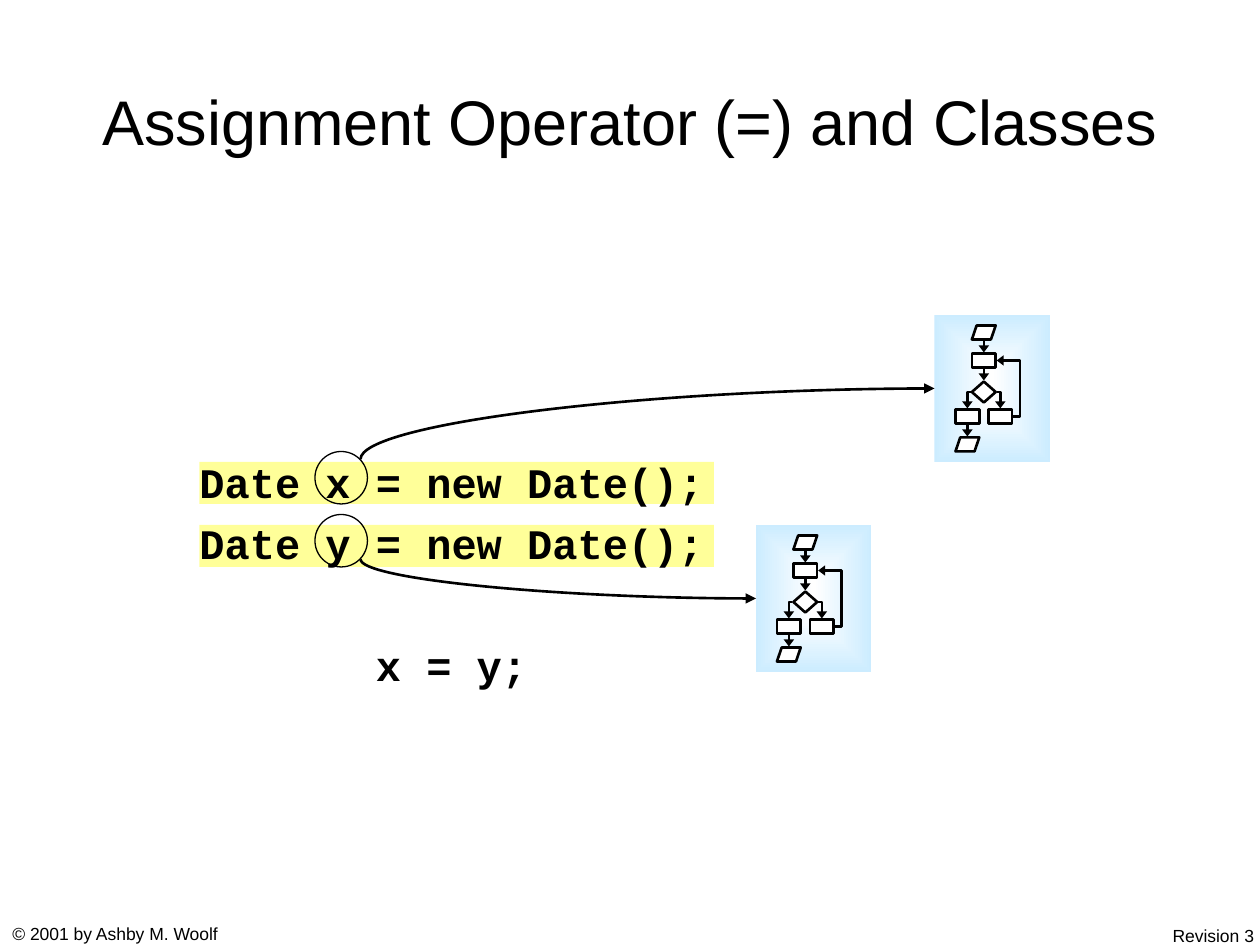
import pptx
import pptx.dml.color
import pptx.enum.shapes
import pptx.enum.text
import pptx.oxml.ns
import pptx.util
from lxml import etree

Pt = pptx.util.Pt
qn = pptx.oxml.ns.qn
Shape = pptx.enum.shapes.MSO_SHAPE
Connector = pptx.enum.shapes.MSO_CONNECTOR
Align = pptx.enum.text.PP_ALIGN
Anchor = pptx.enum.text.MSO_ANCHOR
AutoSize = pptx.enum.text.MSO_AUTO_SIZE


def color(value):
    return pptx.dml.color.RGBColor.from_string(value)


class SlideBuilder:
    ink = "000000"
    paper = "FFFFFF"
    highlight = "FFFF99"
    object_edge = "CCECFF"
    text_font = "Arial"
    code_font = "Courier New"

    def __init__(self, slide):
        self.slide = slide
        self.shapes = slide.shapes

    def format(self, paragraph, size, name, alignment, bold=False):
        paragraph.alignment = alignment
        paragraph.font.size = Pt(size)
        paragraph.font.name = name
        paragraph.font.bold = bold
        paragraph.font.color.rgb = color(self.ink)

    def title(self, text, left, top, width, height):
        shape = self.slide.shapes.title
        shape.left, shape.top = Pt(left), Pt(top)
        shape.width, shape.height = Pt(width), Pt(height)
        frame = shape.text_frame
        frame.text = text
        frame.auto_size = AutoSize.NONE
        frame.vertical_anchor = Anchor.MIDDLE
        self.format(frame.paragraphs[0], 36, self.text_font, Align.CENTER)

    def footer(self, text, left, top, width, alignment):
        box = self.shapes.add_textbox(Pt(left), Pt(top), Pt(width), Pt(19.4))
        frame = box.text_frame
        frame.word_wrap = False
        frame.text = text
        self.format(frame.paragraphs[0], 10, self.text_font, alignment)

    def code(self, lines, left, top, width, height, margin_top):
        box = self.shapes.add_textbox(Pt(left), Pt(top), Pt(width), Pt(height))
        frame = box.text_frame
        frame.word_wrap = True
        frame.margin_top = Pt(margin_top)
        frame.text = "\n".join(text for text, space in lines)
        for paragraph, (text, space) in zip(frame.paragraphs, lines):
            paragraph.space_before = Pt(space)
            self.format(paragraph, 24, self.code_font, Align.CENTER, True)

    def shape(self, kind, left, top, width, height, fill=None, line=None):
        shape = self.shapes.add_shape(kind, Pt(left), Pt(top), Pt(width), Pt(height))
        shape.shadow.inherit = False
        if fill:
            shape.fill.solid()
            shape.fill.fore_color.rgb = color(fill)
        else:
            shape.fill.background()
        if line:
            shape.line.color.rgb = color(self.ink)
            shape.line.width = Pt(line)
        else:
            shape.line.fill.background()
        return shape

    def glow_box(self, left, top, width, height):
        shape = self.shape(Shape.RECTANGLE, left, top, width, height)
        shape.fill.gradient()
        for stop, value in zip(shape.fill.gradient_stops, (self.paper, self.object_edge)):
            stop.color.rgb = color(value)
        shape.fill.gradient_stops[0].position = 0
        shape.fill.gradient_stops[1].position = 1
        gradient = shape._element.spPr.find(qn("a:gradFill"))
        gradient.remove(gradient.find(qn("a:lin")))
        path = etree.SubElement(gradient, qn("a:path"), path="rect")
        etree.SubElement(path, qn("a:fillToRect"), l="50000", t="50000", r="50000", b="50000")

    def arrow(self, start, end, kind=Connector.STRAIGHT, preset=None, adjust=None, head="sm"):
        connector = self.shapes.add_connector(kind, *map(Pt, start + end))
        connector.line.color.rgb = color(self.ink)
        connector.line.width = Pt(1.5)
        line = connector.line._get_or_add_ln()
        etree.SubElement(line, qn("a:tailEnd"), type="triangle", len=head)
        properties = connector._element.spPr
        etree.SubElement(properties, qn("a:effectLst"))
        geometry = properties.find(qn("a:prstGeom"))
        if preset:
            geometry.set("prst", preset)
        if adjust is not None:
            guides = geometry.find(qn("a:avLst"))
            if guides is None:
                guides = etree.SubElement(geometry, qn("a:avLst"))
            etree.SubElement(guides, qn("a:gd"), name="adj1", fmla=f"val {adjust}")
        return connector

    def reference_curve(self, start, end):
        turn = 1 if end[1] < start[1] else -1
        center_x, center_y = (start[0] + end[0]) / 2, (start[1] + end[1]) / 2
        turned = [
            (center_x + turn * (y - center_y), center_y - turn * (x - center_x))
            for x, y in (start, end)
        ]
        connector = self.arrow(*turned, Connector.CURVE, "curvedConnector2", head="med")
        transform = connector._element.spPr.find(qn("a:xfrm"))
        transform.set("rot", str(turn * 90 % 360 * 60000))

    def date_object(self, left, top):
        self.shapes = self.slide.shapes.add_group_shape().shapes
        self.glow_box(left, top, 66, 84)
        box_width, box_height, gap = 13.6, 8, 0.6
        columns = [left + 12 + 9.4 * index for index in range(3)]
        rows = [top + 6 + 16 * index for index in range(5)]
        steps = [
            (Shape.RECTANGLE, 1, 1, box_height),
            (Shape.RECTANGLE, 2, 3, box_height),
            (Shape.RECTANGLE, 0, 3, box_height),
            (Shape.FLOWCHART_DECISION, 1, 2, 12),
            (Shape.FLOWCHART_DATA, 1, 0, box_height),
            (Shape.FLOWCHART_DATA, 0, 4, box_height),
        ]
        for kind, column, row, height in steps:
            self.shape(kind, columns[column], rows[row], box_width, height, self.paper, 1.5)
        for column, row in ((1, 0), (1, 1), (0, 3)):
            x = columns[column] + box_width / 2
            self.arrow((x, rows[row] + box_height + gap), (x, rows[row + 1] - gap))
        decision_y = rows[2] + 6
        right_edge = columns[1] + box_width + gap
        for x, column in ((columns[1] - gap, 0), (right_edge, 2)):
            target = (columns[column] + box_width / 2, rows[3] - gap)
            self.arrow((x, decision_y), target, Connector.ELBOW, "bentConnector2")
        loop_start = (columns[2] + box_width + gap, rows[3] + box_height / 2)
        loop_end = (right_edge, rows[1] + box_height / 2)
        self.arrow(loop_start, loop_end, Connector.ELBOW, adjust=-42400)
        self.shapes = self.slide.shapes


def main():
    presentation = pptx.Presentation()
    presentation.slide_width, presentation.slide_height = Pt(720), Pt(540)
    builder = SlideBuilder(presentation.slides.add_slide(presentation.slide_layouts[5]))
    builder.footer("© 2001 by Ashby M. Woolf", 0, 524, 132.5, Align.LEFT)
    builder.footer("Revision 3", 660.6, 525, 63, Align.RIGHT)
    for top in (264, 300):
        builder.shape(Shape.RECTANGLE, 114, top, 294, 24, builder.highlight)
    builder.title("Assignment Operator (=) and Classes", 42, 48, 636, 42)
    code_lines = [("Date x = new Date();", 0), ("Date y = new Date();", 6), ("x = y;", 40.9)]
    builder.code(code_lines, 78, 156, 360, 270, 105.1)
    references = [
        ((534, 180), 258, (206, 262.4)),
        ((432, 300), 294, (206, 319.6)),
    ]
    for (left, top), circle_top, start in references:
        builder.date_object(left, top)
        builder.shape(Shape.OVAL, 180, circle_top, 30, 30, line=0.75)
        builder.reference_curve(start, (left, top + 42))
    presentation.save("out.pptx")


if __name__ == "__main__":
    main()
